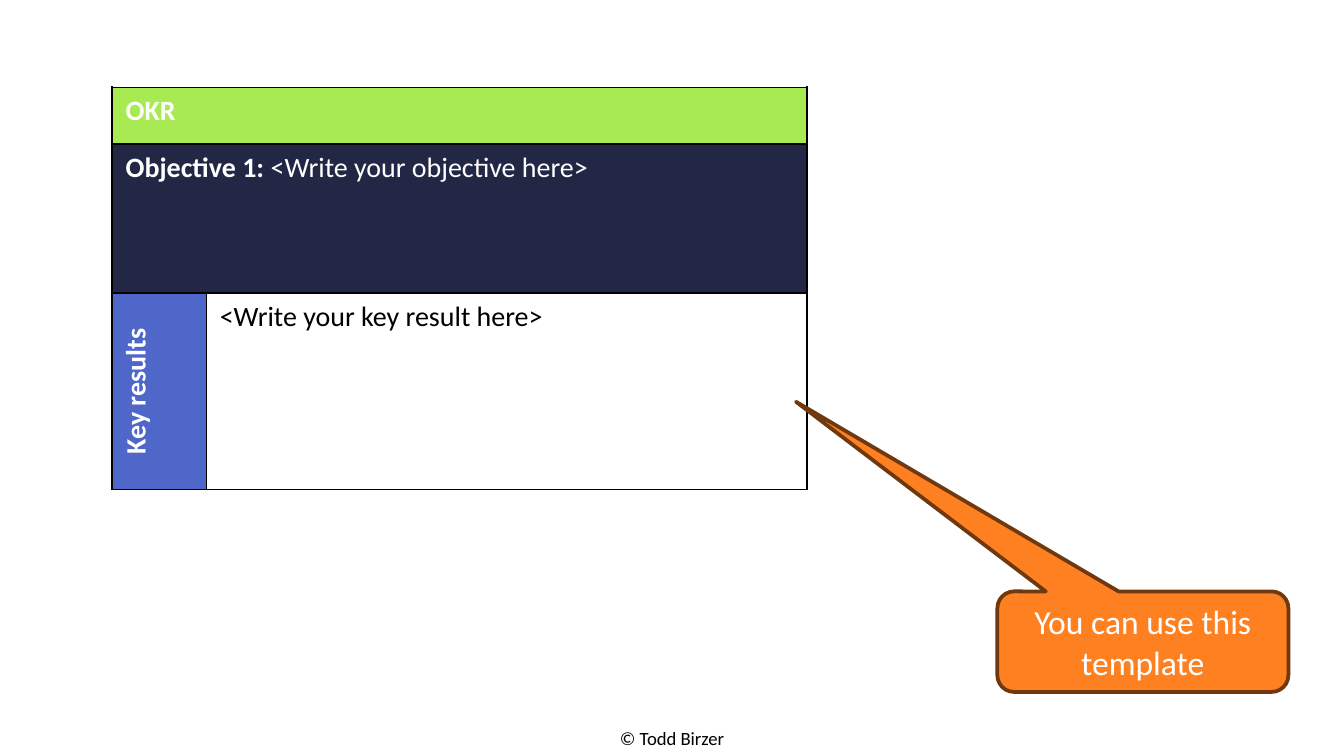
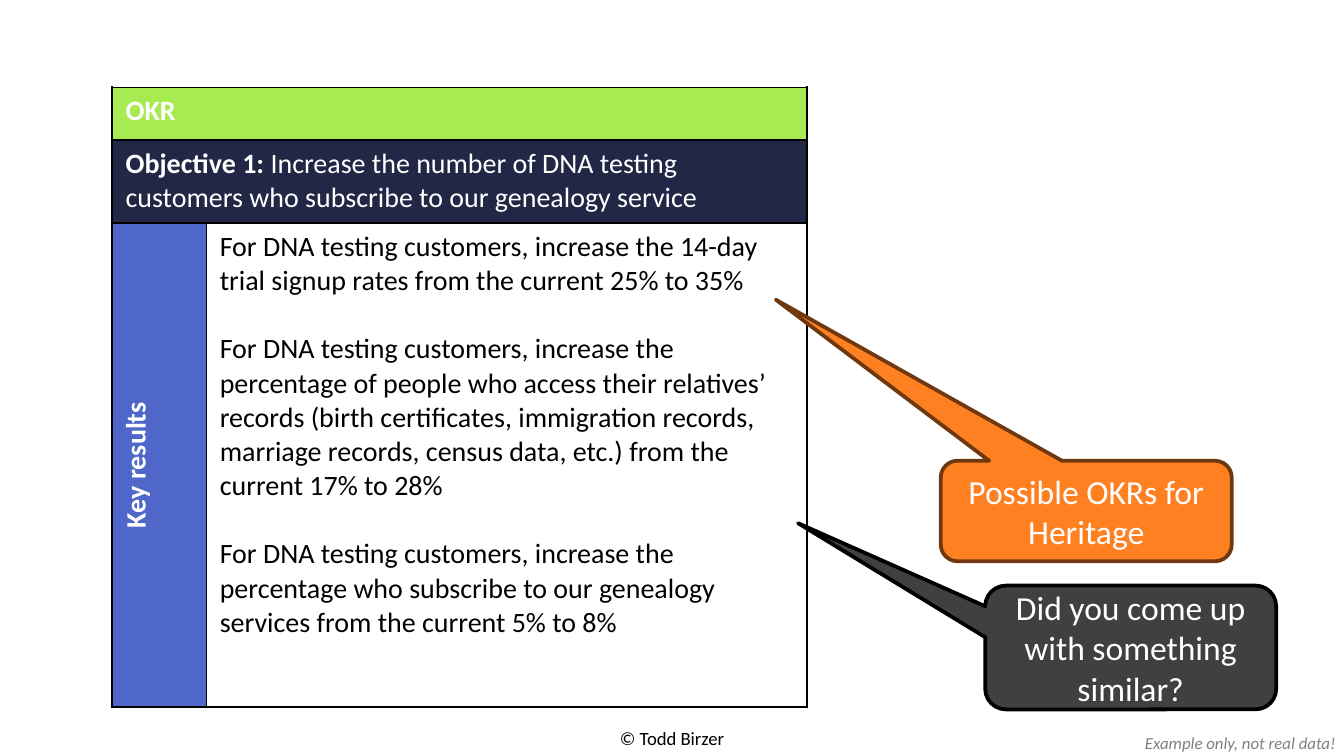
from lxml.etree import SubElement, fromstring
from pptx import Presentation
from pptx.dml.color import RGBColor
from pptx.enum.shapes import MSO_SHAPE
from pptx.enum.text import MSO_ANCHOR, MSO_AUTO_SIZE, PP_ALIGN
from pptx.oxml.ns import nsdecls
from pptx.util import Cm, Pt

FONT = "Calibri"
WHITE, BLACK, GREY = "FFFFFF", "000000", "808080"
GREEN, NAVY, BLUE = "A7EA52", "212745", "4E67C8"
ORANGE, BROWN, CHARCOAL = "FF8021", "70380E", "404040"

COLUMN_WIDTHS = [1.78, 11.35]
CALLOUT_WIDTH = 5.5

OKR_SLIDES = [
    {
        "rows": [1.07, 2.82, 3.71],
        "objective": "<Write your objective here>",
        "key_results": ["<Write your key result here>"],
        "callouts": [
            ("You can use this template", 18.85, 11.18, 1.9, -1.192, -2.387, ORANGE, BROWN),
        ],
        "labels": [],
    },
    {
        "rows": [1.0, 1.57, 9.14],
        "objective": "Increase the number of DNA testing customers who subscribe to our genealogy service",
        "key_results": [
            "For DNA testing customers, increase the 14-day trial signup rates from the current 25% to 35%",
            "For DNA testing customers, increase the percentage of people who access their relatives’ "
            "records (birth certificates, immigration records, marriage records, census data, etc.) "
            "from the current 17% to 28%",
            "For DNA testing customers, increase the percentage who subscribe to our genealogy "
            "services from the current 5% to 8%",
        ],
        "callouts": [
            ("Possible OKRs for Heritage", 17.78, 8.71, 1.9, -1.067, -2.103, ORANGE, BROWN),
            ("Did you come up with something similar?", 18.62, 11.07, 2.34, -1.143, -1.004, CHARCOAL, BLACK),
        ],
        "labels": [
            ("Example only, not real data!", 21.39, 13.72, 4.17, 0.63, 9, GREY, True, PP_ALIGN.LEFT),
        ],
    },
]
FOOTER = ("© Todd Birzer", 11.43, 13.61, 2.54, 0.69, 10, BLACK, False, PP_ALIGN.CENTER)


def rgb(value):
    return RGBColor.from_string(value)


def set_font(paragraph, size, color, bold=False):
    paragraph.font.name = FONT
    paragraph.font.size = Pt(size)
    paragraph.font.bold = bold
    paragraph.font.color.rgb = rgb(color)


presentation = Presentation()
presentation.slide_width = Cm(25.4)
presentation.slide_height = Cm(14.29)

for content in OKR_SLIDES:
    slide = presentation.slides.add_slide(presentation.slide_layouts[6])

    for text, left, top, width, height, size, color, italic, alignment in [FOOTER]+ content["labels"]:
        label = slide.shapes.add_textbox(Cm(left), Cm(top), Cm(width), Cm(height))
        label.text_frame.word_wrap = False
        label.text_frame.auto_size = MSO_AUTO_SIZE.SHAPE_TO_FIT_TEXT
        paragraph = label.text_frame.paragraphs[0]
        paragraph.text = text
        paragraph.alignment = alignment
        set_font(paragraph, size, color)
        paragraph.font.italic = italic

    table = slide.shapes.add_table(
        3, 2, Cm(2.12), Cm(1.65), Cm(sum(COLUMN_WIDTHS)), Cm(sum(content["rows"]))
    ).table
    table.first_row = False
    table.horz_banding = False
    for column, width in zip(table.columns, COLUMN_WIDTHS):
        column.width = Cm(width)
    for row, height in zip(table.rows, content["rows"]):
        row.height = Cm(height)
    for row_index in (0, 1):
        table.cell(row_index, 0).merge(table.cell(row_index, 1))

    header, objective = table.cell(0, 0), table.cell(1, 0)
    key_label, key_results = table.cell(2, 0), table.cell(2, 1)

    header.text = "OKR"
    set_font(header.text_frame.paragraphs[0], 15, WHITE, True)

    paragraph = objective.text_frame.paragraphs[0]
    set_font(paragraph, 15, WHITE)
    for text, bold in [("Objective 1: ", True), (content["objective"], False)]:
        run = paragraph.add_run()
        run.text = text
        run.font.bold = bold

    key_label.text = "Key results"
    key_label.vertical_anchor = MSO_ANCHOR.MIDDLE
    key_label._tc.get_or_add_tcPr().set("vert", "vert270")
    paragraph = key_label.text_frame.paragraphs[0]
    paragraph.alignment = PP_ALIGN.CENTER
    set_font(paragraph, 15, WHITE, True)

    key_results.text = "\n".join(content["key_results"])
    for index, paragraph in enumerate(key_results.text_frame.paragraphs):
        set_font(paragraph, 15, BLACK)
        paragraph.space_before = Pt(18 if index else 0)

    for row, fills in zip(table.rows, [(GREEN, GREEN), (NAVY, NAVY), (BLUE, WHITE)]):
        for cell, fill in zip(row.cells, fills):
            cell.fill.solid()
            cell.fill.fore_color.rgb = rgb(fill)
            properties = cell._tc.get_or_add_tcPr()
            for position, side in enumerate(["lnL", "lnR", "lnT", "lnB"]):
                border = fromstring(
                    f'<a:{side} {nsdecls("a")} w="12700"><a:solidFill>'
                    f'<a:srgbClr val="{BLACK}"/></a:solidFill></a:{side}>'
                )
                properties.insert(position, border)

    for text, left, top, height, tip_x, tip_y, fill, line in content["callouts"]:
        callout = slide.shapes.add_shape(
            MSO_SHAPE.ROUNDED_RECTANGULAR_CALLOUT, Cm(left), Cm(top), Cm(CALLOUT_WIDTH), Cm(height)
        )
        callout.adjustments[0] = tip_x
        callout.adjustments[1] = tip_y
        callout.shadow.inherit = False
        callout.fill.solid()
        callout.fill.fore_color.rgb = rgb(fill)
        callout.line.color.rgb = rgb(line)
        callout.line.width = Pt(2)
        callout.text_frame.word_wrap = True
        callout.text_frame.vertical_anchor = MSO_ANCHOR.MIDDLE
        paragraph = callout.text_frame.paragraphs[0]
        paragraph.text = text
        paragraph.alignment = PP_ALIGN.CENTER
        set_font(paragraph, 18, WHITE)

presentation.save("out.pptx")
